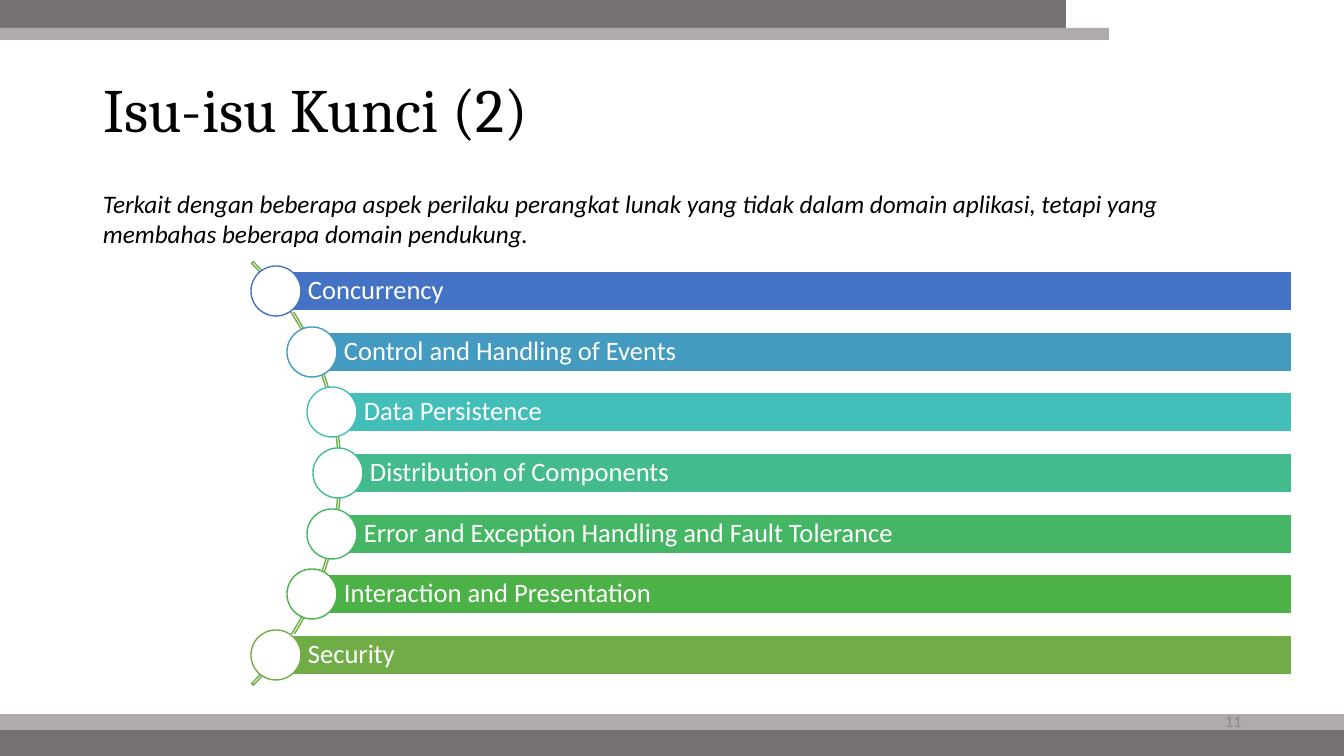
from math import sqrt

from pptx import Presentation
from pptx.dml.color import RGBColor
from pptx.enum.shapes import MSO_SHAPE
from pptx.enum.text import MSO_ANCHOR, MSO_AUTO_SIZE, PP_ALIGN
from pptx.util import Pt

RECTANGLE, OVAL, ARC = MSO_SHAPE.RECTANGLE, MSO_SHAPE.OVAL, MSO_SHAPE.BLOCK_ARC
TOP, MIDDLE = MSO_ANCHOR.TOP, MSO_ANCHOR.MIDDLE
LEFT, RIGHT = PP_ALIGN.LEFT, PP_ALIGN.RIGHT
NO_FIT = MSO_AUTO_SIZE.NONE

EMU_PER_INCH = 914400
PX_PER_INCH = 100.8
TITLE_ONLY = 5

COLOURS = {
    "black": "000000", "white": "FFFFFF", "number": "8C8C8C",
    "dark band": "767171", "light band": "AFABAB", "arc": "70AD47",
}

# Issue and its accent colour
ISSUES = [
    ("Concurrency", "4472C4"),
    ("Control and Handling of Events", "449BC1"),
    ("Data Persistence", "43BEB9"),
    ("Distribution of Components", "43BB8D"),
    ("Error and Exception Handling and Fault Tolerance", "45B664"),
    ("Interaction and Presentation", "4CB146"),
    ("Security", "70AD47"),
]

INTRO = ("Terkait dengan beberapa aspek perilaku perangkat lunak yang tidak dalam "
         "domain aplikasi, tetapi yang membahas beberapa domain pendukung.")


def px(length):
    return round(length * EMU_PER_INCH / PX_PER_INCH)


def rgb(colour):
    return RGBColor.from_string(COLOURS.get(colour, colour))


class Page:
    heading_font = "Cambria"
    body_font = "Calibri"

    def __init__(self, deck):
        self.slide = deck.slides.add_slide(deck.slide_layouts[TITLE_ONLY])

    def shape(self, kind, left, top, width, height, fill=None, line=None):
        item = self.slide.shapes.add_shape(kind, px(left), px(top), px(width), px(height))
        item.shadow.inherit = False
        if fill:
            item.fill.solid()
            item.fill.fore_color.rgb = rgb(fill)
        else:
            item.fill.background()
        if line:
            item.line.color.rgb = rgb(line)
            item.line.width = Pt(1)
        else:
            item.line.fill.background()
        return item

    def set_text(self, item, text, size, colour="black", font=None, italic=False,
                 align=LEFT, anchor=MIDDLE, spacing=1.0):
        frame = item.text_frame
        frame.word_wrap = True
        frame.auto_size = NO_FIT
        frame.vertical_anchor = anchor
        para = frame.paragraphs[0]
        para.alignment = align
        para.line_spacing = spacing
        span = para.add_run()
        span.text = text
        span.font.name = font or self.body_font
        span.font.size = Pt(size)
        span.font.italic = italic
        span.font.color.rgb = rgb(colour)

    def title(self, text, left, top, width, height):
        item = self.slide.shapes.title
        item.left, item.top, item.width, item.height = map(px, (left, top, width, height))
        self.set_text(item, text, 44, font=self.heading_font, spacing=0.9)

    def text(self, text, left, top, width, height, size, **style):
        item = self.slide.shapes.add_textbox(px(left), px(top), px(width), px(height))
        self.set_text(item, text, size, **style)

    def issue(self, text, colour, left, top, right, height, dot):
        bar = self.shape(RECTANGLE, left, top, right - left, height, colour, "white")
        frame = bar.text_frame
        frame.margin_left = px(32)
        frame.margin_right = frame.margin_top = frame.margin_bottom = px(5)
        self.set_text(bar, text, 19, "white", spacing=0.9)
        self.shape(OVAL, left - dot / 2, top + (height - dot) / 2, dot, dot, "white", colour)


def main():
    deck = Presentation()
    deck.slide_width, deck.slide_height = px(1344), px(756)
    page = Page(deck)

    # Bands along the top and bottom edges
    page.shape(RECTANGLE, 0, 728, 1344, 28, "dark band")
    page.shape(RECTANGLE, 0, 714, 1344, 16, "light band")
    page.shape(RECTANGLE, 0, 0, 1066, 29, "dark band")
    page.shape(RECTANGLE, 0, 28, 1109, 12, "light band")

    # Title
    page.title("Isu-isu Kunci (2)", 93, 40, 1159, 146)

    # Arc that the issues follow
    arc = page.shape(ARC, -258, 174, 599, 599, line="arc")
    for index, value in enumerate((189, 27, 0.004)):
        arc.adjustments[index] = value

    # Bars start on a circle around the arc's centre
    centre_x, radius = 41, 297
    first_top, last_top = 271, 635
    step = (last_top - first_top) / (len(ISSUES) - 1)
    middle = (len(ISSUES) - 1) / 2
    for index, (text, colour) in enumerate(ISSUES):
        rise = (index - middle) * step
        left = round(centre_x + sqrt(radius ** 2 - rise ** 2))
        top = round(first_top + index * step)
        page.issue(text, colour, left, top, right=1292, height=40, dot=50)

    # Introduction and page number
    page.text(INTRO, 93, 183, 1174, 72, 18, italic=True, anchor=TOP)
    page.text("11", 950, 701, 302, 40, 12, colour="number", align=RIGHT)

    deck.save("out.pptx")


if __name__ == "__main__":
    main()
